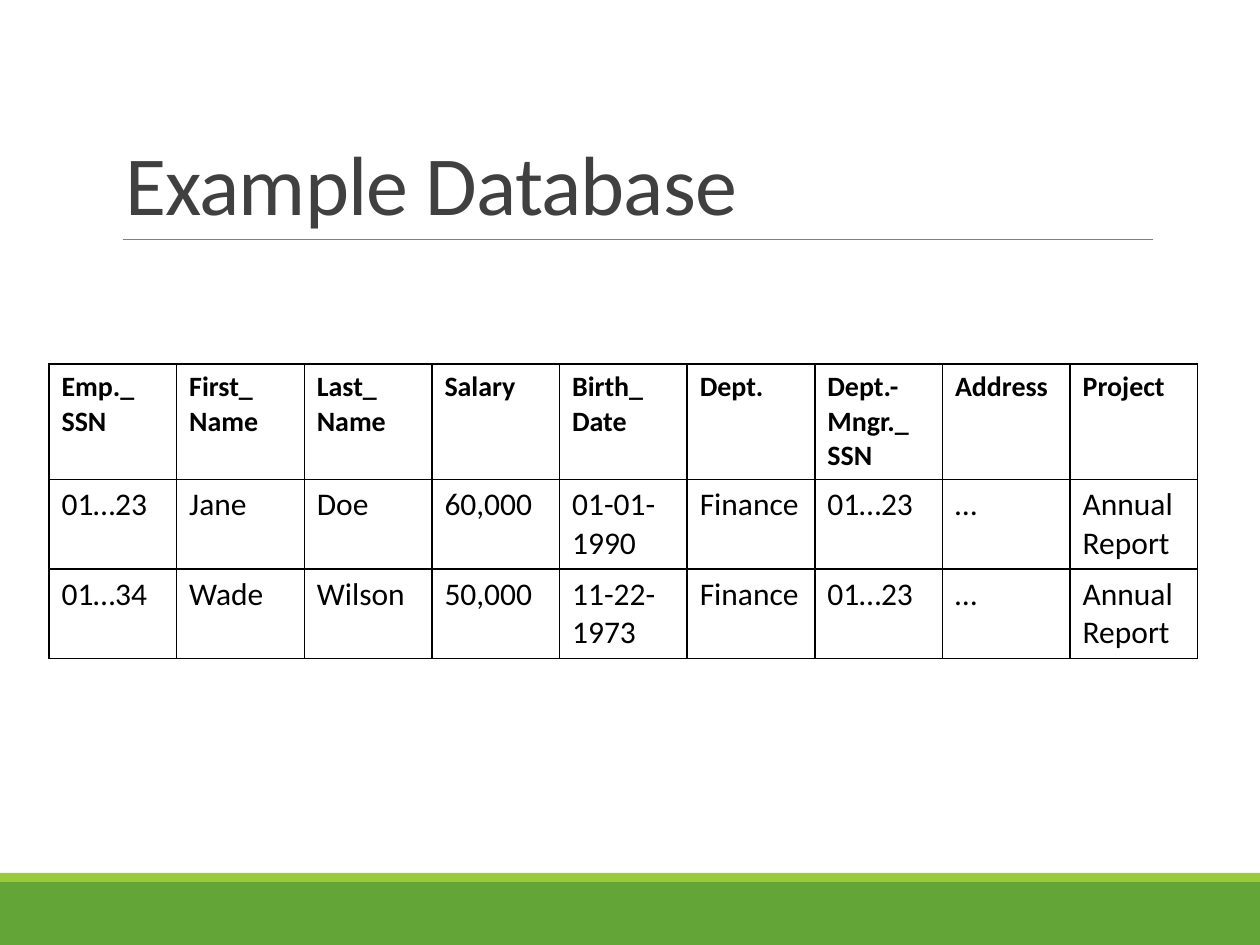
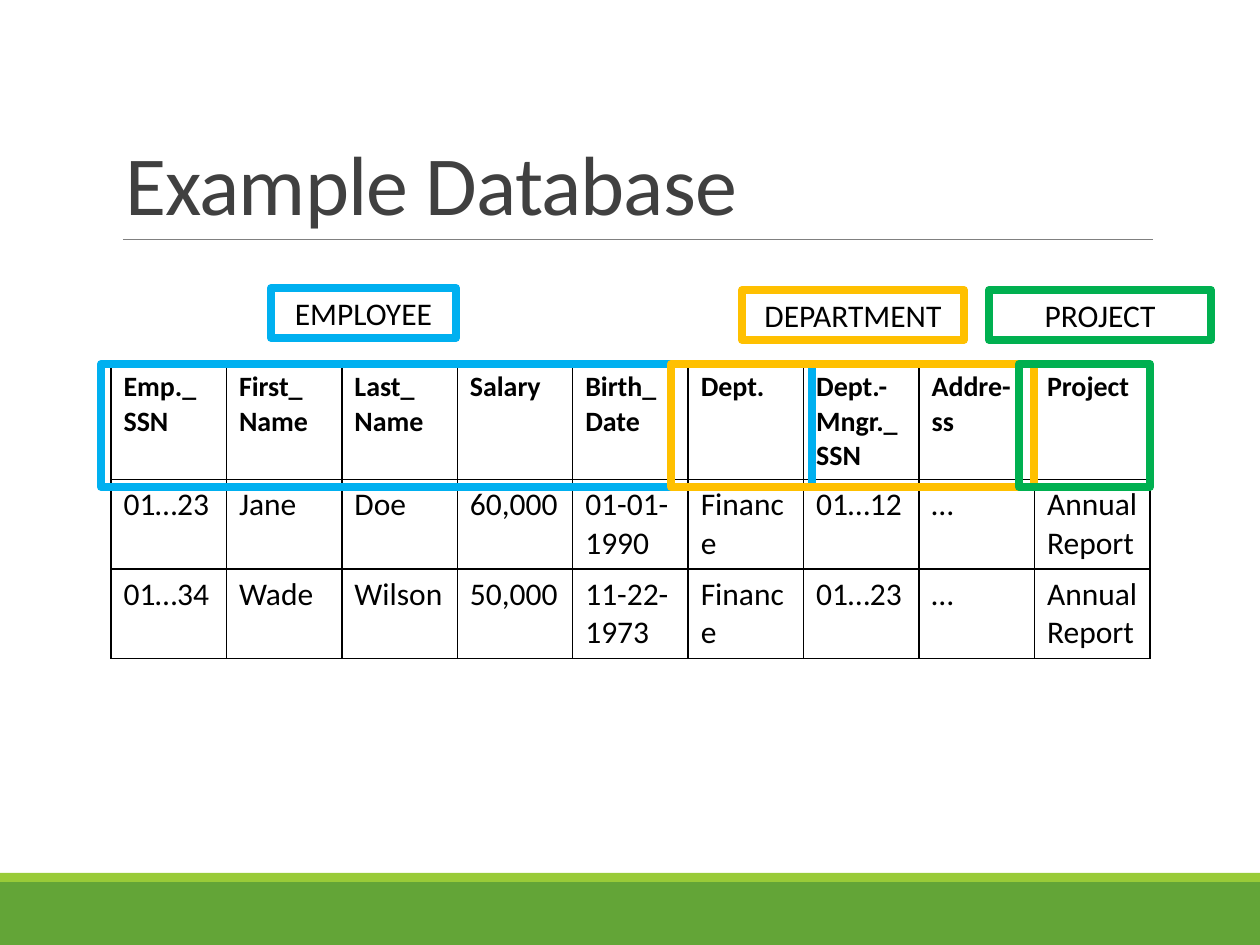
from lxml import etree
from pptx import Presentation
from pptx.dml.color import RGBColor as RGB
from pptx.enum.shapes import MSO_CONNECTOR as CONN, MSO_SHAPE as SHAPE
from pptx.enum.text import MSO_ANCHOR as ANCHOR, MSO_AUTO_SIZE as AUTO, PP_ALIGN as ALIGN
from pptx.oxml import parse_xml
from pptx.oxml.ns import nsdecls, qn
from pptx.util import Pt

PX = 914400 // 126
COLORS = {
    "band": "63A537", "stripe": "99CB38", "rule": "808080",
    "title": "404040", "text": "000000",
    "employee": "00B0F0", "department": "FFC000", "project": "00B050",
}


def px(*lengths):
    return [length * PX for length in lengths]


def rgb(name):
    return RGB.from_string(COLORS[name])


class Deck:
    font = "Calibri"
    title_size, header_size, body_size = 48, 16, 18

    def __init__(self):
        self.prs = Presentation()
        self.prs.slide_width, self.prs.slide_height = px(1260, 945)
        self.slide = None

    def new_slide(self, title):
        self.slide = self.prs.slides.add_slide(self.prs.slide_layouts[5])
        self.box(0, 882, 1260, 63, fill="band")
        self.box(0, 873, 1260, 9, fill="stripe")
        self.rule(123, 239, 1153, 239)
        self.title(title)

    def run(self, p, text, size, color="text", bold=False):
        r = p.add_run()
        r.text = text
        r.font.name, r.font.size, r.font.bold = self.font, Pt(size), bold
        r.font.color.rgb = rgb(color)
        return r

    def title(self, text):
        sp = self.slide.shapes.title
        sp.left, sp.top, sp.width, sp.height = px(113, 39, 1040, 200)
        tf = sp.text_frame
        tf.auto_size, tf.word_wrap = AUTO.NONE, True
        tf.vertical_anchor = ANCHOR.BOTTOM
        p = tf.paragraphs[0]
        p.alignment, p.line_spacing = ALIGN.LEFT, 0.85
        r = self.run(p, text, self.title_size, "title")
        r.font._element.set("spc", "-50")

    def rule(self, x1, y1, x2, y2):
        line = self.slide.shapes.add_connector(CONN.STRAIGHT, *px(x1, y1, x2, y2))
        line.line.color.rgb, line.line.width = rgb("rule"), Pt(0.5)
        etree.SubElement(line._element.spPr, qn("a:effectLst"))

    def box(self, x, y, w, h, fill=None, outline=None, text=None):
        sp = self.slide.shapes.add_shape(SHAPE.RECTANGLE, *px(x, y, w, h))
        sp.shadow.inherit = False
        if fill:
            sp.fill.solid()
            sp.fill.fore_color.rgb = rgb(fill)
        else:
            sp.fill.background()
        if outline:
            sp.line.color.rgb, sp.line.width = rgb(outline), Pt(4.5)
            etree.SubElement(sp.line._get_or_add_ln(), qn("a:round"))
        else:
            sp.line.fill.background()
        if text:
            tf = sp.text_frame
            tf.word_wrap, tf.vertical_anchor = True, ANCHOR.MIDDLE
            p = tf.paragraphs[0]
            p.alignment = ALIGN.CENTER
            self.run(p, text, self.body_size)

    def borders(self, cell):
        for side in "LRTB":
            cell._tc.get_or_add_tcPr().append(parse_xml(
                f'<a:ln{side} {nsdecls("a")} w="12700"><a:solidFill>'
                f'<a:srgbClr val="{COLORS["text"]}"/></a:solidFill></a:ln{side}>'))

    def table(self, x, y, w, row_h, rows):
        n_rows, n_cols = len(rows), len(rows[0])
        frame = self.slide.shapes.add_table(n_rows, n_cols, *px(x, y, w, row_h * n_rows))
        table = frame.table
        table.first_row = table.horz_banding = False
        for col in table.columns:
            col.width = w * PX // n_cols
        for i, values in enumerate(rows):
            size = self.body_size if i else self.header_size
            for j, value in enumerate(values):
                cell = table.cell(i, j)
                self.borders(cell)
                cell.fill.background()
                tf = cell.text_frame
                for k, text in enumerate(value.split("\n")):
                    p = tf.add_paragraph() if k else tf.paragraphs[0]
                    self.run(p, text, size, bold=i == 0)


def employee_rows(manager_header, address_header, jane_manager):
    return [
        ["Emp._\nSSN", "First_\nName", "Last_\nName", "Salary", "Birth_\nDate",
         "Dept.", manager_header, address_header, "Project"],
        ["01…23", "Jane", "Doe", "60,000", "01-01-1990",
         "Finance", jane_manager, "…", "Annual Report"],
        ["01…34", "Wade", "Wilson", "50,000", "11-22-1973",
         "Finance", "01…23", "…", "Annual Report"],
    ]


def main():
    deck = Deck()
    table_top, row_h = 364, 52

    deck.new_slide("Example Database")
    deck.table(49, table_top, 1149, row_h,
               employee_rows("Dept.-Mngr._\nSSN", "Address", "01…23"))

    deck.new_slide("Example Database")
    deck.table(111, table_top, 1039, row_h,
               employee_rows("Dept.-Mngr._SSN", "Addre-ss", "01…12"))
    entities = [
        ("employee", (101, 711), (271, 288, 185)),
        ("department", (671, 363), (742, 290, 222)),
        ("project", (1019, 131), (989, 290, 222)),
    ]
    for name, (x, w), _ in entities:
        deck.box(x, table_top, w, 123, outline=name)
    for name, _, (x, y, w) in entities:
        deck.box(x, y, w, 50, outline=name, text=name.upper())

    deck.prs.save("out.pptx")


if __name__ == "__main__":
    main()
